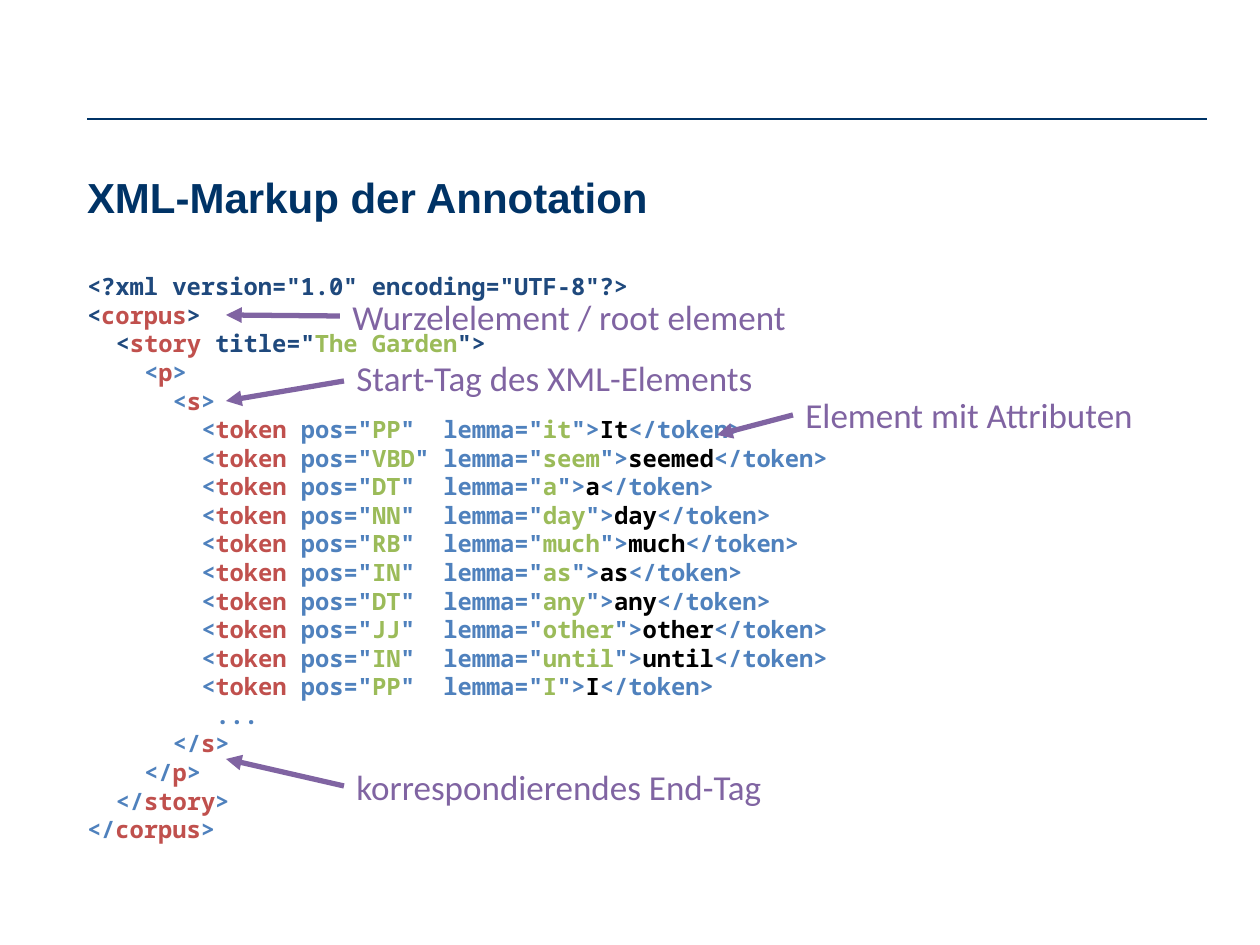
from lxml import etree
from pptx import Presentation
from pptx import util as u
from pptx.dml.color import RGBColor
from pptx.enum import shapes, text
from pptx.oxml.ns import qn

PX = 914400 // 126
NAVY, DARK, BLUE = "003366", "1F497D", "4F81BD"
RED, GREEN, BLACK, PURPLE = "C0504D", "9BBB59", "000000", "8064A2"
CHAR_WIDTH = u.Pt(13.6 * 0.6)

TITLE = "XML-Markup der Annotation"
TOKENS = [
    ("PP", "it", "It"), ("VBD", "seem", "seemed"), ("DT", "a", "a"),
    ("NN", "day", "day"), ("RB", "much", "much"), ("IN", "as", "as"),
    ("DT", "any", "any"), ("JJ", "other", "other"), ("IN", "until", "until"),
    ("PP", "I", "I"),
]
LABELS = [
    ("Start-Tag des XML-Elements", (344, 350, 437, 97), 381, (226, 401)),
    ("korrespondierendes End-Tag", (344, 759, 437, 97), 786, (226, 759)),
    ("Wurzelelement / root element", (340, 289, 474, 55), 316, (226, 315)),
    ("Element mit Attributen", (793, 387, 397, 55), 415, (717, 435)),
]


def tag(name, color=BLUE, opening="<"):
    return [(opening, color), (name, RED), (">", color)]


def token(pos, lemma, word):
    gap = " " * (4 - len(pos))
    return [("<", BLUE), ("token ", RED), ('pos="', BLUE), (pos, GREEN),
            (f'"{gap}lemma="', BLUE), (lemma, GREEN), ('">', BLUE),
            (word, BLACK), ("</token>", BLUE)]


CODE = [
    (0, [('<?xml version="1.0" encoding="UTF-8"?>', DARK)]),
    (0, tag("corpus", DARK)),
    (2, [("<", DARK), ("story", RED), (' title="', DARK),
         ("The Garden", GREEN), ('">', DARK)]),
    (4, tag("p")),
    (6, tag("s")),
    *[(8, token(*entry)) for entry in TOKENS],
    (9, [("...", BLUE)]),
    *[(indent, tag(name, opening="</"))
      for indent, name in [(6, "s"), (4, "p"), (2, "story"), (0, "corpus")]],
]


def rgb(value):
    return RGBColor.from_string(value)


def style(span, font, size, color, bold=False):
    span.font.name = font
    span.font.size = u.Pt(size)
    span.font.color.rgb = rgb(color)
    span.font.bold = bold


def place(shape, left, top, width, height):
    shape.left, shape.top = left * PX, top * PX
    shape.width, shape.height = width * PX, height * PX


def plain_frame(shape):
    frame = shape.text_frame
    frame.margin_left = frame.margin_right = 0
    frame.margin_top = frame.margin_bottom = 0
    frame.word_wrap = True
    frame.auto_size = text.MSO_AUTO_SIZE.NONE
    frame.vertical_anchor = text.MSO_ANCHOR.TOP
    return frame


def add_line(page, start, end, color, width, arrow=False):
    points = [value * PX for value in (*start, *end)]
    line = page.shapes.add_connector(shapes.MSO_CONNECTOR.STRAIGHT, *points)
    line.line.color.rgb = rgb(color)
    line.line.width = u.Pt(width)
    if arrow:
        etree.SubElement(line.line._get_or_add_ln(), qn("a:tailEnd"), type="triangle")
    etree.SubElement(line._element.spPr, qn("a:effectLst"))


def add_title(page):
    title = page.shapes.title
    place(title, 87, 173, 1121, 49)
    frame = plain_frame(title)
    frame.text = TITLE
    para = frame.paragraphs[0]
    para.alignment = text.PP_ALIGN.LEFT
    para.line_spacing = u.Pt(28)
    style(para.runs[0], "Arial", 24, NAVY, True)


def add_code(page):
    box = page.shapes.add_textbox(0, 0, 0, 0)
    place(box, 87, 272, 1121, 611)
    frame = plain_frame(box)
    for index, (indent, parts) in enumerate(CODE):
        para = frame.add_paragraph() if index else frame.paragraphs[0]
        para.line_spacing = u.Pt(16.33)
        para._p.get_or_add_pPr().set("marL", str(indent * CHAR_WIDTH))
        for words, color in parts:
            span = para.add_run()
            span.text = words
            style(span, "Noto Sans Mono", 13.6, color, True)


def add_label(page, words, area, start_y, tip):
    box = page.shapes.add_textbox(0, 0, 0, 0)
    place(box, *area)
    box.text_frame.word_wrap = True
    box.text_frame.text = words
    style(box.text_frame.paragraphs[0].runs[0], "Calibri", 20, PURPLE)
    add_line(page, (area[0], start_y), tip, PURPLE, 3, arrow=True)


def main():
    deck = Presentation()
    deck.slide_width, deck.slide_height = u.Inches(10), u.Inches(7.5)
    page = deck.slides.add_slide(deck.slide_layouts[5])
    add_line(page, (1207, 119), (87, 119), NAVY, 0.75)
    add_title(page)
    add_code(page)
    for label in LABELS:
        add_label(page, *label)
    deck.save("out.pptx")


if __name__ == "__main__":
    main()
